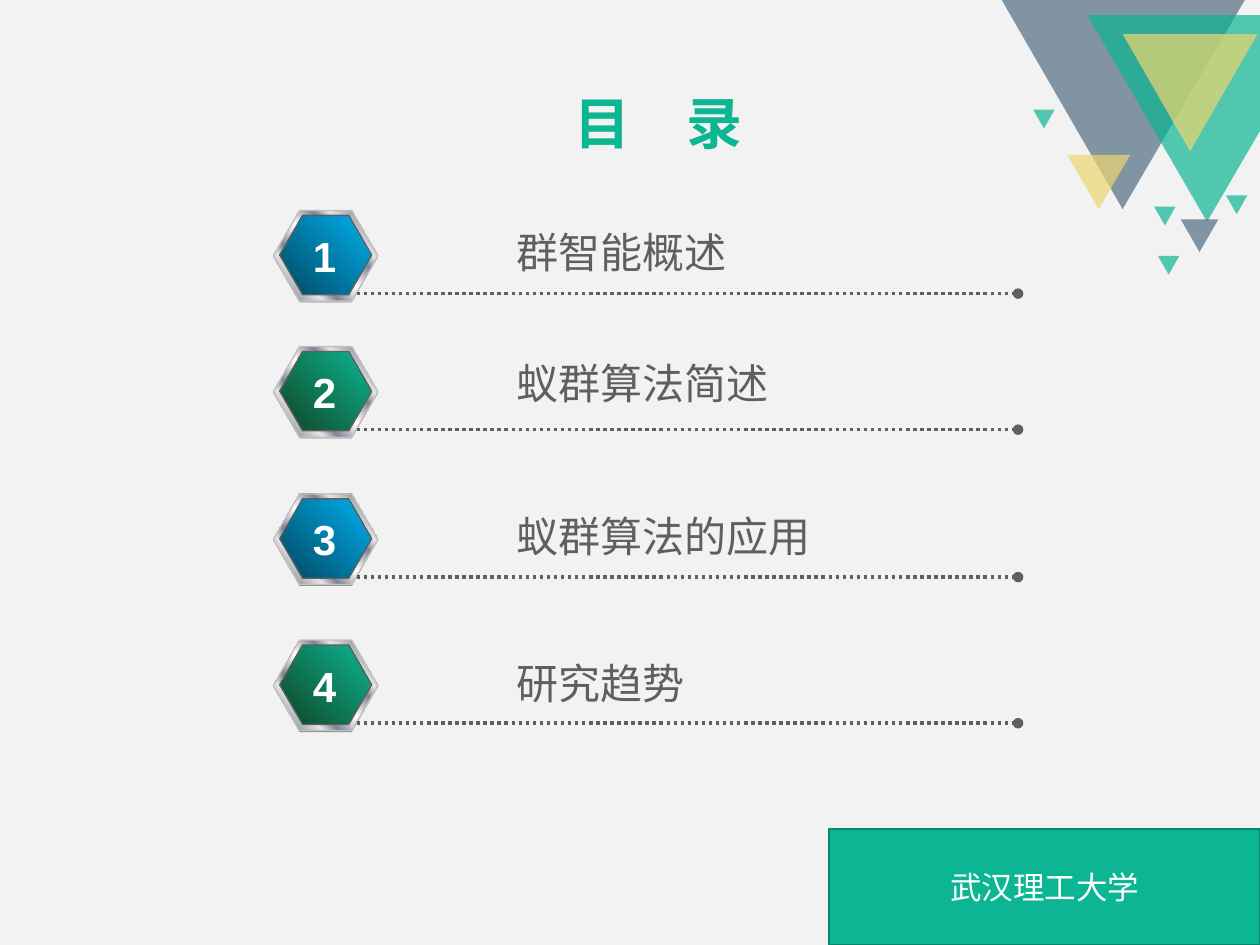
"""Build a contents slide with four numbered hexagon entries."""
from lxml.etree import SubElement
from pptx import Presentation
from pptx.dml.color import RGBColor
from pptx.enum.dml import MSO_LINE
from pptx.enum.shapes import MSO_CONNECTOR, MSO_SHAPE
from pptx.enum.text import MSO_ANCHOR, PP_ALIGN
from pptx.oxml.ns import qn
from pptx.util import Inches, Pt

CJK_FONT = "Noto Sans CJK SC"
BACKGROUND = RGBColor(0xF2, 0xF2, 0xF2)
WHITE = RGBColor(0xFF, 0xFF, 0xFF)
GREEN = RGBColor(0x0C, 0xB6, 0x92)
DARK_GREEN = RGBColor(0x10, 0x44, 0x25)
EDGE_GREEN = RGBColor(0x09, 0x87, 0x6C)
BLUE = RGBColor(0x00, 0xB0, 0xF0)
DARK_BLUE = RGBColor(0x00, 0x47, 0x5E)
SLATE = RGBColor(0x51, 0x6D, 0x82)
YELLOW = RGBColor(0xEE, 0xD6, 0x6F)
GREY = RGBColor(0x5F, 0x5F, 0x5F)
SHADE = RGBColor(0x80, 0x80, 0x80)
RIM = RGBColor(0xC0, 0xC0, 0xC0)
SILVER = RGBColor(0xE6, 0xE6, 0xE6)
STEEL = RGBColor(0x7D, 0x84, 0x96)

METAL = [(0, SILVER), (8, STEEL), (26, SILVER), (34, STEEL), (46, SILVER), (50, WHITE),
         (54, SILVER), (66, STEEL), (74, SILVER), (92, STEEL), (100, SILVER)]
BLUE_FACE = [(0, DARK_BLUE), (100, BLUE)]
GREEN_FACE = [(0, DARK_GREEN), (100, GREEN)]


def add_run(paragraph, text, size, color, font=CJK_FONT, bold=False):
    run = paragraph.add_run()
    run.text = text
    run.font.size = Pt(size)
    run.font.bold = bold
    run.font.color.rgb = color
    run.font.name = font
    SubElement(run.font._element, qn("a:ea"), typeface=font)


def add_hexagon(shapes, left, top, width, height, stops=None, line_color=None):
    hexagon = shapes.add_shape(MSO_SHAPE.HEXAGON, Inches(left), Inches(top),
                               Inches(width), Inches(height))
    hexagon.adjustments[0] = 0.289
    hexagon.shadow.inherit = False
    if stops is None:
        hexagon.fill.solid()
        hexagon.fill.fore_color.rgb = SHADE
        hexagon.line.fill.background()
        return
    hexagon.fill.gradient()
    hexagon.fill.gradient_angle = 45
    stop_list = hexagon._element.spPr.find(qn("a:gradFill")).find(qn("a:gsLst"))
    for old_stop in list(stop_list):
        stop_list.remove(old_stop)
    for position, color in stops:
        stop = SubElement(stop_list, qn("a:gs"), pos=str(position * 1000))
        SubElement(stop, qn("a:srgbClr"), val=str(color))
    hexagon.line.color.rgb = line_color
    hexagon.line.width = Pt(0.75)


presentation = Presentation()
presentation.slide_width = Inches(10)
presentation.slide_height = Inches(7.5)
slide = presentation.slides.add_slide(presentation.slide_layouts[5])
slide.background.fill.solid()
slide.background.fill.fore_color.rgb = BACKGROUND
shapes = slide.shapes

decorations = []
outlines = [
    ([(7.95, 0), (9.88, 0), (8.91, 1.66)], SLATE),
    ([(8.63, 0.12), (10, 0.12), (10, 1.04), (9.58, 1.76)], GREEN),
]
for points, color in outlines:
    corners = [(Inches(x), Inches(y)) for x, y in points]
    builder = shapes.build_freeform(*corners[0])
    builder.add_line_segments(corners[1:], close=True)
    decorations.append((builder.convert_to_shape(), color))

triangles = [
    (8.91, 0.27, 1.07, 0.93, YELLOW),
    (8.47, 1.23, 0.5, 0.43, YELLOW),
    (9.73, 1.55, 0.17, 0.15, GREEN),
    (9.19, 2.03, 0.17, 0.15, GREEN),
    (9.16, 1.64, 0.17, 0.15, GREEN),
    (9.37, 1.74, 0.3, 0.26, SLATE),
    (8.2, 0.87, 0.17, 0.15, GREEN),
]
for left, top, width, height, color in triangles:
    triangle = shapes.add_shape(MSO_SHAPE.ISOSCELES_TRIANGLE, Inches(left), Inches(top),
                                Inches(width), Inches(height))
    triangle.rotation = 180
    decorations.append((triangle, color))

for shape, color in decorations:
    shape.shadow.inherit = False
    shape.line.fill.background()
    shape.fill.solid()
    shape.fill.fore_color.rgb = color
    color_element = shape._element.spPr.find(qn("a:solidFill"))[0]
    SubElement(color_element, qn("a:alpha"), val="70000")

title = shapes.title
title.left, title.top = Inches(1.42), Inches(0.42)
title.width, title.height = Inches(7.62), Inches(0.87)
title.text_frame.vertical_anchor = MSO_ANCHOR.BOTTOM
title_paragraph = title.text_frame.paragraphs[0]
title_paragraph.alignment = PP_ALIGN.CENTER
title_paragraph.line_spacing = 0.9
add_run(title_paragraph, "目　录", 32, GREEN, bold=True)

entries = [
    ("群智能概述", 1.67, 1.75, BLUE_FACE),
    ("蚁群算法简述", 2.75, 2.79, GREEN_FACE),
    ("蚁群算法的应用", 3.92, 4, BLUE_FACE),
    ("研究趋势", 5.08, 5.17, GREEN_FACE),
]
for number, (label, top, label_top, face) in enumerate(entries, start=1):
    add_hexagon(shapes, 2.17, top + 0.01, 0.83, 0.72)
    add_hexagon(shapes, 2.17, top, 0.83, 0.72, METAL, RIM)
    add_hexagon(shapes, 2.22, top + 0.04, 0.73, 0.63, face, GREY)

    line_y = Inches(top + 0.66)
    connector = shapes.add_connector(MSO_CONNECTOR.STRAIGHT, Inches(2.83), line_y,
                                     Inches(8.08), line_y)
    connector.line.color.rgb = GREY
    connector.line.width = Pt(2)
    connector.line.dash_style = MSO_LINE.ROUND_DOT
    SubElement(connector.line._get_or_add_ln(), qn("a:tailEnd"), type="oval")
    SubElement(connector._element.spPr, qn("a:effectLst"))

    number_box = shapes.add_textbox(Inches(2.38), Inches(top + 0.11), Inches(0.39), Inches(0.5))
    number_box.text_frame.word_wrap = False
    number_paragraph = number_box.text_frame.paragraphs[0]
    number_paragraph.alignment = PP_ALIGN.CENTER
    add_run(number_paragraph, str(number), 24, WHITE, "Arial", True)

    label_box = shapes.add_textbox(Inches(4), Inches(label_top), Inches(3.5), Inches(0.5))
    label_box.text_frame.word_wrap = True
    add_run(label_box.text_frame.paragraphs[0], label, 24, GREY)

banner = shapes.add_shape(MSO_SHAPE.RECTANGLE, Inches(6.58), Inches(6.58),
                          Inches(3.42), Inches(0.92))
banner.shadow.inherit = False
banner.fill.solid()
banner.fill.fore_color.rgb = GREEN
banner.line.color.rgb = EDGE_GREEN
banner.line.width = Pt(1)
banner.text_frame.vertical_anchor = MSO_ANCHOR.MIDDLE
banner_paragraph = banner.text_frame.paragraphs[0]
banner_paragraph.alignment = PP_ALIGN.CENTER
add_run(banner_paragraph, "武汉理工大学", 18, WHITE)

presentation.save("out.pptx")
